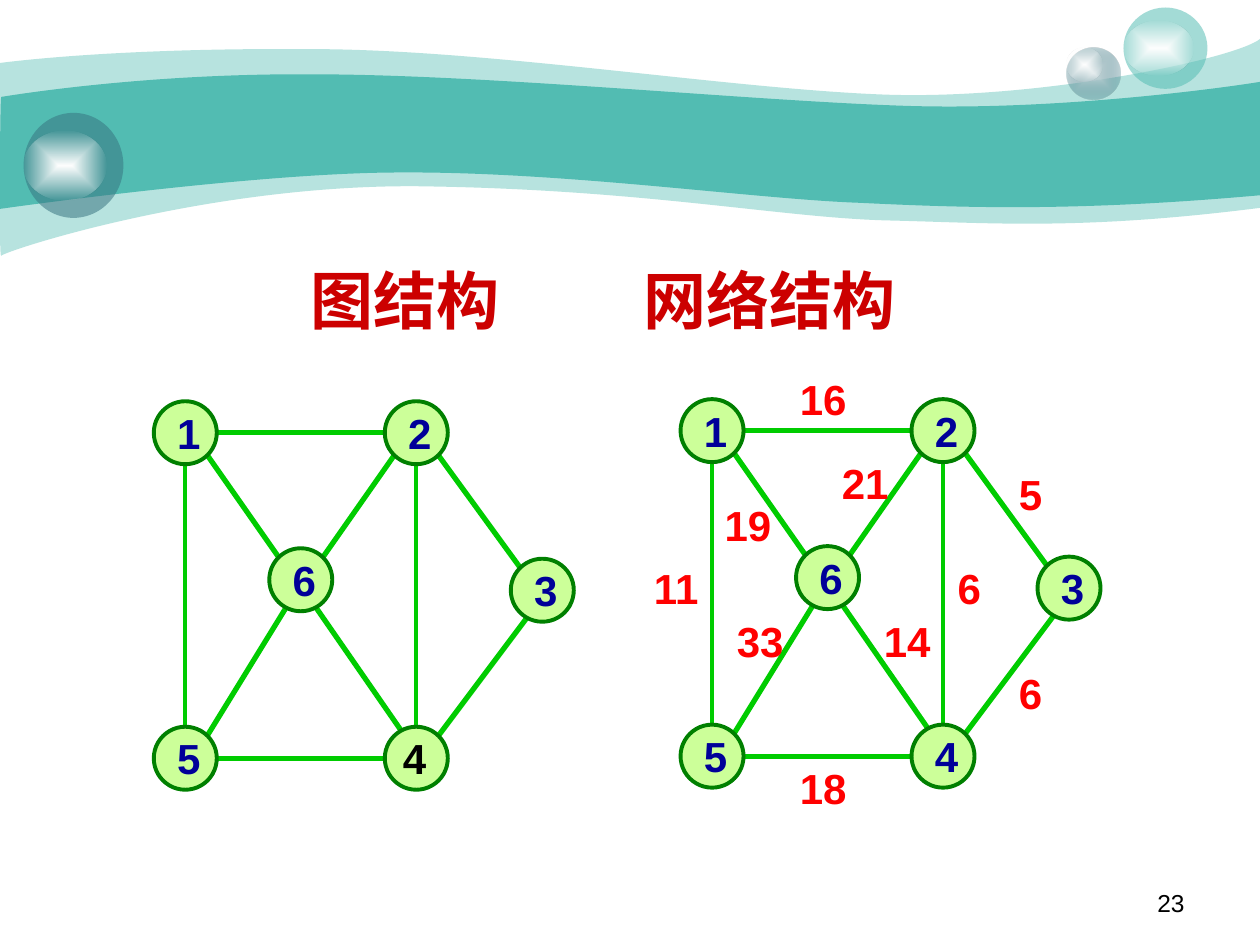
"""Build a slide comparing a plain graph with a weighted network."""
from dataclasses import dataclass
from typing import Optional

import pptx
import pptx.dml.color
import pptx.enum.shapes
import pptx.enum.text
import pptx.oxml.ns
import pptx.util
from lxml import etree

Pt = pptx.util.Pt
RGBColor = pptx.dml.color.RGBColor
Align = pptx.enum.text.PP_ALIGN
qn = pptx.oxml.ns.qn
OVAL = pptx.enum.shapes.MSO_SHAPE.OVAL
STRAIGHT = pptx.enum.shapes.MSO_CONNECTOR.STRAIGHT

TEAL = RGBColor(0x52, 0xBC, 0xB2)
SLATE = RGBColor(0x37, 0x73, 0x7F)
MIST = RGBColor(0xCC, 0xDB, 0xDE)
WHITE = RGBColor(0xFF, 0xFF, 0xFF)
BLACK = RGBColor(0, 0, 0)
TITLE_RED = RGBColor(0xCC, 0, 0)
WEIGHT_RED = RGBColor(0xFF, 0, 0)
NODE_FILL = RGBColor(0xCC, 0xFF, 0x99)
NODE_LINE = RGBColor(0, 0x80, 0)
NODE_TEXT = RGBColor(0, 0, 0x99)
EDGE_GREEN = RGBColor(0, 0xCC, 0)

LATIN_FONT = "Arial"
TITLE_FONT = "Noto Sans CJK SC"
RADIUS = 18


@dataclass(frozen=True)
class Wave:
    start: tuple
    upper: tuple
    corner: tuple
    lower: tuple
    opacity: int


@dataclass(frozen=True)
class Orb:
    outer: tuple
    glow: tuple
    color: RGBColor
    opacity: int
    center_color: Optional[RGBColor] = None


@dataclass(frozen=True)
class Edge:
    start: int
    end: int
    start_offset: tuple
    end_offset: tuple
    weight: str
    weight_center: tuple
    width: float = 3


@dataclass(frozen=True)
class Graph:
    origin: tuple
    weighted: bool


WAVES = (
    Wave((0, 36),
         ((17.3, 33.8), (77, 27.4), (177.8, 28.1), (277.9, 28.1), (414, 50.4), (503.3, 54),
          (591.8, 57.6), (705.6, 33.8), (720, 22.3)),
         (720, 118.8),
         ((617.8, 131.8), (566.6, 127.4), (507.6, 126), (447.8, 124.6), (370.8, 108.7),
          (247, 106.6), (123.8, 103.7), (2.9, 143.3), (0.7, 146.2), (-0.7, 149.8), (0, 54),
          (0, 36)), 41),
    Wave((0.7, 55.4),
         ((1.4, 55.4), (79.2, 41.8), (178.6, 42.5), (277.9, 42.5), (428.4, 57.6), (517, 60.5),
          (605.5, 63.4), (702.7, 49.7), (720, 46.8)),
         (720, 111.6),
         ((614.2, 121), (550.8, 118.8), (491, 115.9), (431.3, 113.8), (321.8, 97.9),
          (228.2, 98.6), (146.2, 98.6), (-1.4, 119.5), (-0.7, 119.5), (0, 119.5), (0, 55.4),
          (0.7, 55.4)), 100),
)
ORBS = (
    Orb((609.5, 27, 31, 29.5), (609.5, 27, 20.5, 19.5), SLATE, 31, MIST),
    Orb((642, 4.3, 48, 46.5), (642, 12, 40, 31), TEAL, 53),
    Orb((13.5, 64.5, 57, 60), (13.5, 74.5, 47.5, 40), SLATE, 53),
)
NODES = {1: (0, 0), 2: (132, 0), 3: (204, 90), 4: (132, 186), 5: (0, 186), 6: (66, 84)}
EDGES = (
    Edge(1, 2, (RADIUS, 0), (-RADIUS, 0), "16", (63.5, -18)),
    Edge(1, 5, (0, RADIUS), (0, -RADIUS), "11", (-20.5, 90), 2.25),
    Edge(1, 6, (12, 12), (-12, -12), "19", (20.5, 54)),
    Edge(2, 6, (-12, 12), (12, -12), "21", (87.5, 30)),
    Edge(2, 3, (12, 12), (-12, -12), "5", (182, 36)),
    Edge(2, 4, (0, RADIUS), (0, -RADIUS), "6", (147, 90), 2.25),
    Edge(3, 4, (-6, 12), (12, -12), "6", (182, 150)),
    Edge(6, 5, (-6, 12), (12, -12), "33", (27.5, 120)),
    Edge(6, 4, (6, 12), (-6, -12), "14", (111.5, 120)),
    Edge(5, 4, (RADIUS, 0), (-RADIUS, 0), "18", (63.5, 204)),
)
GRAPHS = (Graph((406.9, 246.1), True), Graph((105.9, 247.3), False))


def add_alpha(color_element, opacity: int) -> None:
    etree.SubElement(color_element, qn("a:alpha")).set("val", str(opacity * 1000))


def fill_solid(shape, color: RGBColor, opacity: int = 100) -> None:
    shape.shadow.inherit = False
    shape.fill.solid()
    shape.fill.fore_color.rgb = color
    if opacity < 100:
        add_alpha(next(shape._element.spPr.iter(qn("a:srgbClr"))), opacity)


def fill_radial(shape, center: RGBColor, rim: RGBColor, rim_opacity: int) -> None:
    shape.shadow.inherit = False
    shape.fill.gradient()
    for stop, color in zip(shape.fill.gradient_stops, (center, rim)):
        stop.color.rgb = color
    gradient = shape._element.spPr.find(qn("a:gradFill"))
    add_alpha(list(gradient.iter(qn("a:srgbClr")))[-1], rim_opacity)
    gradient.remove(gradient.find(qn("a:lin")))
    focus = etree.SubElement(gradient, qn("a:path"), {"path": "rect"})
    etree.SubElement(focus, qn("a:fillToRect"), {side: "50000" for side in "ltrb"})


def bend_segments(segments: list) -> None:
    for first in range(0, len(segments), 3):
        curve = etree.Element(qn("a:cubicBezTo"))
        segments[first].addprevious(curve)
        for segment in segments[first:first + 3]:
            curve.append(segment.find(qn("a:pt")))
            segment.getparent().remove(segment)


def draw_wave(shapes, wave: Wave) -> None:
    builder = shapes.build_freeform(*map(Pt, wave.start))
    points = (*wave.upper, wave.corner, *wave.lower)
    builder.add_line_segments([(Pt(x), Pt(y)) for x, y in points], close=True)
    shape = builder.convert_to_shape()
    segments = list(shape._element.spPr.iter(qn("a:lnTo")))
    corner = len(wave.upper)
    bend_segments(segments[:corner])
    bend_segments(segments[corner + 1:corner + 1 + len(wave.lower)])
    fill_solid(shape, TEAL, wave.opacity)
    shape.line.fill.background()


def draw_orb(shapes, orb: Orb) -> None:
    group_shapes = shapes.add_group_shape().shapes
    outer, glow = (group_shapes.add_shape(OVAL, *map(Pt, box)) for box in (orb.outer, orb.glow))
    if orb.center_color is None:
        fill_solid(outer, orb.color, orb.opacity)
    else:
        fill_radial(outer, orb.center_color, orb.color, orb.opacity)
    fill_radial(glow, WHITE, WHITE, 0)
    for shape in (outer, glow):
        shape.line.fill.background()


def add_run(paragraph, text: str, size: float, color: RGBColor, bold: bool,
            font_name: str = LATIN_FONT) -> None:
    run = paragraph.add_run()
    run.text = text
    run.font.size = Pt(size)
    run.font.bold = bold
    run.font.color.rgb = color
    run.font.name = font_name
    etree.SubElement(run._r.get_or_add_rPr(), qn("a:ea"), {"typeface": font_name})


def draw_label(shapes, text: str, center_x: float, center_y: float, color: RGBColor) -> None:
    width = 14 + 13.5 * len(text)
    label = shapes.add_textbox(Pt(center_x - width / 2), Pt(center_y - 18), Pt(width), Pt(36))
    label.text_frame.word_wrap = False
    paragraph = label.text_frame.paragraphs[0]
    paragraph.alignment = Align.CENTER
    add_run(paragraph, text, 24, color, True)


def draw_graph(slide, graph: Graph) -> None:
    shapes = slide.shapes.add_group_shape().shapes
    left, top = graph.origin
    for edge in EDGES:
        (x1, y1), (x2, y2) = NODES[edge.start], NODES[edge.end]
        (dx1, dy1), (dx2, dy2) = edge.start_offset, edge.end_offset
        line = shapes.add_connector(STRAIGHT, Pt(left + x1 + dx1), Pt(top + y1 + dy1),
                                    Pt(left + x2 + dx2), Pt(top + y2 + dy2))
        line.line.color.rgb = EDGE_GREEN
        line.line.width = Pt(edge.width)
        etree.SubElement(line._element.spPr, qn("a:effectLst"))
    for number, (x, y) in NODES.items():
        node = shapes.add_shape(OVAL, Pt(left + x - RADIUS), Pt(top + y - RADIUS),
                                Pt(2 * RADIUS), Pt(2 * RADIUS))
        fill_solid(node, NODE_FILL)
        node.line.color.rgb = NODE_LINE
        node.line.width = Pt(2.25)
        plain_four = number == 4 and not graph.weighted
        draw_label(shapes, str(number), left + x + (-1 if plain_four else 2), top + y,
                   BLACK if plain_four else NODE_TEXT)
    if graph.weighted:
        for edge in EDGES:
            x, y = edge.weight_center
            draw_label(shapes, edge.weight, left + x, top + y, WEIGHT_RED)


def write_title(slide) -> None:
    title = slide.shapes.title
    title.left, title.top, title.width, title.height = Pt(120), Pt(145), Pt(450), Pt(52)
    title.text_frame.word_wrap = False
    title.text_frame.margin_left = Pt(57.6)
    title.text_frame.vertical_anchor = pptx.enum.text.MSO_ANCHOR.MIDDLE
    paragraph = title.text_frame.paragraphs[0]
    paragraph.alignment = Align.LEFT
    tabs = etree.SubElement(paragraph._p.get_or_add_pPr(), qn("a:tabLst"))
    etree.SubElement(tabs, qn("a:tab"), {"pos": str(Pt(190)), "algn": "l"})
    add_run(paragraph, "图结构\t网络结构", 36, TITLE_RED, True, TITLE_FONT)


def write_page_number(slide) -> None:
    box = slide.shapes.add_textbox(Pt(516), Pt(504), Pt(168), Pt(25))
    box.text_frame.word_wrap = True
    paragraph = box.text_frame.paragraphs[0]
    paragraph.alignment = Align.RIGHT
    add_run(paragraph, "23", 14, BLACK, False)


def main() -> None:
    presentation = pptx.Presentation()
    presentation.slide_width, presentation.slide_height = Pt(720), Pt(540)
    slide = presentation.slides.add_slide(presentation.slide_layouts[5])
    for wave in WAVES:
        draw_wave(slide.shapes, wave)
    for orb in ORBS:
        draw_orb(slide.shapes, orb)
    write_title(slide)
    write_page_number(slide)
    for graph in GRAPHS:
        draw_graph(slide, graph)
    presentation.save("out.pptx")


if __name__ == "__main__":
    main()
